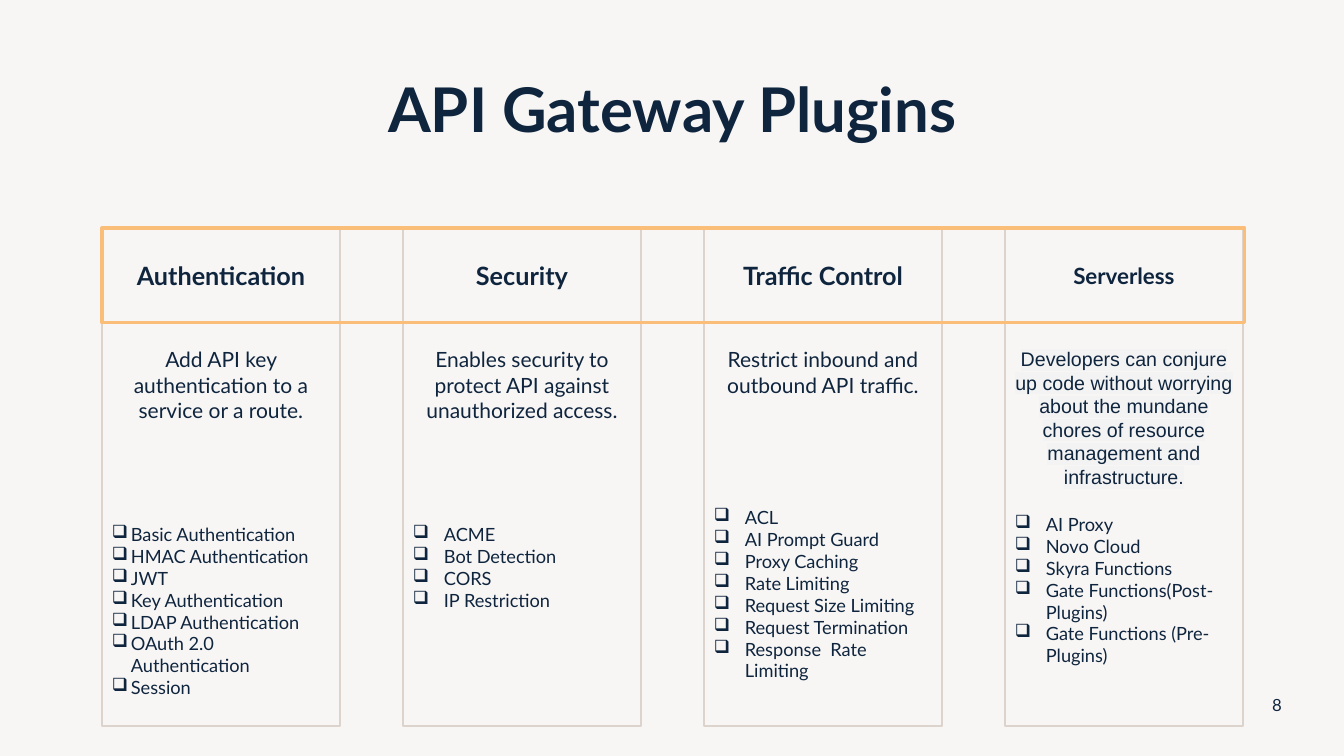
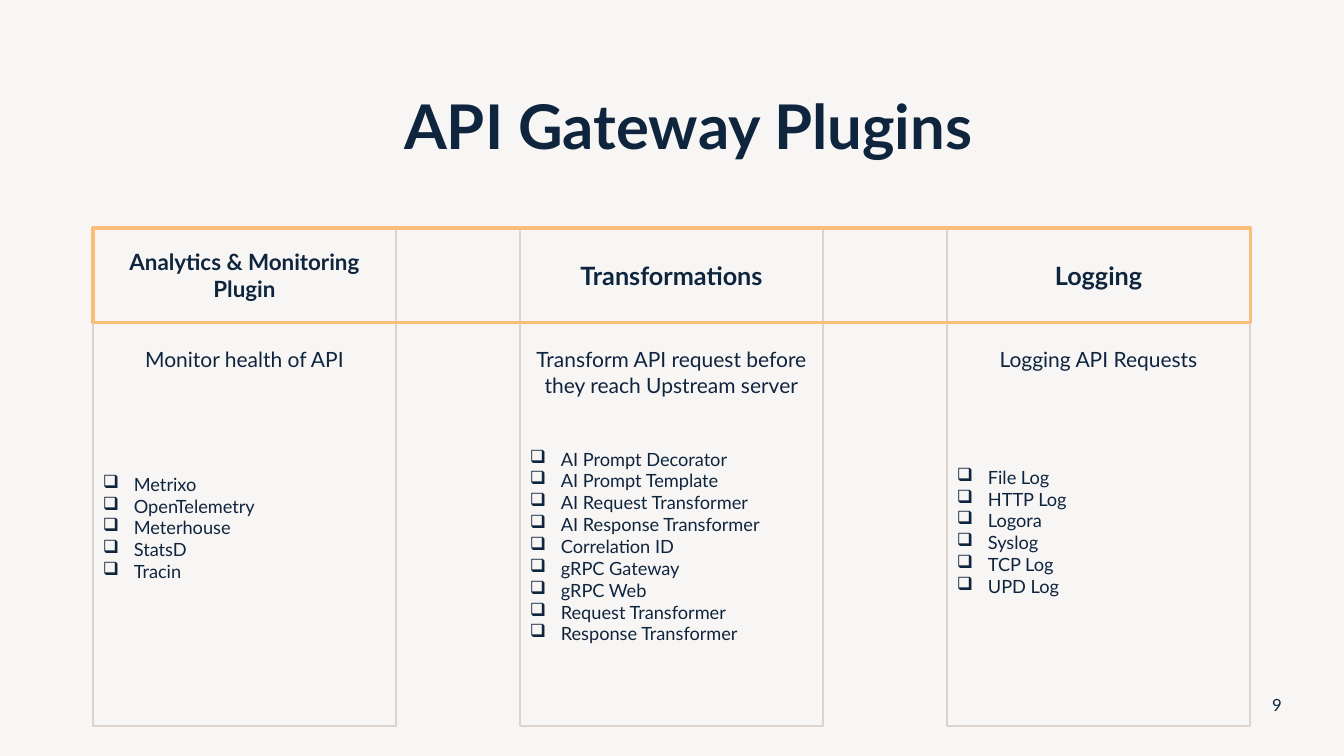
"""Build two slides of API gateway plugin columns."""
from dataclasses import dataclass

from lxml import etree
from pptx import Presentation
from pptx import util as u
from pptx.dml import color as dml
from pptx.enum import shapes, text
from pptx.oxml import ns

W, H = 1344, 756
SCALE = u.Inches(13.3333) / W
COLORS = {"ink": "0F253E", "paper": "F8F6F5", "frame": "DCD3CC",
          "accent": "FABE79", "highlight": "F3F3F3"}
FONT = "Lato"
BAND_TOP, BAND_H = 228, 95
BODY_TOP, BODY_H = 323, 403


@dataclass
class Column:
    """Content of one plugin column."""
    head: str
    about: str
    items: list
    gap: float = 72
    head_size: int = 18
    about_size: int = 15
    about_font: str = FONT
    highlight: bool = False
    indent: int = 31


def px(n):
    """Turn pixels into EMU."""
    return u.Emu(round(n * SCALE))


def rgb(name):
    """Look up a named colour."""
    return dml.RGBColor.from_string(COLORS[name])


def add_run(p, words, size, bold=False, font=FONT):
    """Add one styled run to a paragraph."""
    r = p.add_run()
    r.text = words
    r.font.size = u.Pt(size)
    r.font.bold = bold
    r.font.color.rgb = rgb("ink")
    r.font.name = font
    return r


def mark(r):
    """Highlight a run."""
    fill = r.font._element.find(ns.qn("a:solidFill"))
    hl = etree.Element(ns.qn("a:highlight"))
    etree.SubElement(hl, ns.qn("a:srgbClr"), val=COLORS["highlight"])
    fill.addnext(hl)


def add_bullet(p, indent):
    """Give a paragraph a hanging box bullet."""
    pPr = p._p.get_or_add_pPr()
    pPr.set("marL", str(px(indent)))
    pPr.set("indent", str(-px(indent)))
    etree.SubElement(pPr, ns.qn("a:buChar"), char="❑")


def add_frame(s, box, color="frame", width=1.5):
    """Draw an unfilled rectangle and return its text frame."""
    sp = s.shapes.add_shape(shapes.MSO_SHAPE.RECTANGLE, *map(px, box))
    sp.shadow.inherit = False
    sp.fill.background()
    sp.line.color.rgb = rgb(color)
    sp.line.width = u.Pt(width)
    tf = sp.text_frame
    tf.word_wrap = True
    return tf


def add_title(s, left, top, words):
    """Place and format the title placeholder."""
    sp = s.shapes.title
    sp.left, sp.top, sp.width, sp.height = map(px, (left, top, 1159, 146))
    tf = sp.text_frame
    tf.auto_size = text.MSO_AUTO_SIZE.NONE
    tf.vertical_anchor = text.MSO_ANCHOR.MIDDLE
    p = tf.paragraphs[0]
    p.alignment = text.PP_ALIGN.CENTER
    p.line_spacing = 0.9
    add_run(p, words, 44, True)


def add_number(s, number):
    """Place the slide number."""
    sp = s.shapes.add_textbox(*map(px, (1252, 685, 50, 40)))
    tf = sp.text_frame
    tf.word_wrap = True
    tf.vertical_anchor = text.MSO_ANCHOR.MIDDLE
    p = tf.paragraphs[0]
    p.alignment = text.PP_ALIGN.CENTER
    add_run(p, str(number), 12)


def add_column(s, left, width, col):
    """Draw a heading cell with the body cell below it."""
    tf = add_frame(s, (left, BAND_TOP, width, BAND_H))
    tf.vertical_anchor = text.MSO_ANCHOR.MIDDLE
    p = tf.paragraphs[0]
    p.alignment = text.PP_ALIGN.CENTER
    add_run(p, col.head, col.head_size, True)

    tf = add_frame(s, (left, BODY_TOP, width, BODY_H))
    tf.vertical_anchor = text.MSO_ANCHOR.TOP
    tf.margin_top = px(24)
    p = tf.paragraphs[0]
    p.alignment = text.PP_ALIGN.CENTER
    r = add_run(p, col.about, col.about_size, font=col.about_font)
    if col.highlight:
        mark(r)
    for i, item in enumerate(col.items):
        p = tf.add_paragraph()
        p.alignment = text.PP_ALIGN.LEFT
        p.space_before = u.Pt(0 if i else col.gap)
        add_bullet(p, col.indent)
        add_run(p, item, 13)


def add_plugin_slide(prs, number, title_at, left, width, col_width, columns):
    """Build a slide with evenly spaced columns under one band."""
    s = prs.slides.add_slide(prs.slide_layouts[5])
    add_title(s, *title_at, "API Gateway Plugins")
    step = (width - col_width) // (len(columns) - 1)
    for i, col in enumerate(columns):
        add_column(s, left + i * step, col_width, col)
    add_frame(s, (left, BAND_TOP, width, BAND_H), "accent", 2.25)
    add_number(s, number)


ACCESS = [
    Column("Authentication",
           "Add API key authentication to a service or a route.",
           ["Basic Authentication", "HMAC Authentication", "JWT",
            "Key Authentication", "LDAP Authentication",
            "OAuth 2.0 Authentication", "Session"], indent=19),
    Column("Security",
           "Enables security to protect API against unauthorized access.",
           ["ACME", "Bot Detection", "CORS", "IP Restriction"]),
    Column("Traffic Control", "Restrict inbound and outbound API traffic.",
           ["ACL", "AI Prompt Guard", "Proxy Caching", "Rate Limiting",
            "Request Size Limiting", "Request Termination",
            "Response  Rate Limiting"], gap=78),
    Column("Serverless",
           "Developers can conjure up code without worrying about the "
           "mundane chores of resource management and infrastructure.",
           ["AI Proxy", "Novo Cloud", "Skyra Functions",
            "Gate Functions(Post-Plugins)", "Gate Functions (Pre-Plugins)"],
           gap=18, head_size=16, about_size=14, about_font="Arial",
           highlight=True),
]
OPERATIONS = [
    Column("Analytics & Monitoring Plugin", "Monitor health of API",
           ["Metrixo", "OpenTelemetry", "Meterhouse", "StatsD", "Tracin"],
           head_size=16),
    Column("Transformations",
           "Transform API request before they reach Upstream server",
           ["AI Prompt Decorator", "AI Prompt Template",
            "AI Request Transformer", "AI Response Transformer",
            "Correlation ID", "gRPC Gateway", "gRPC Web",
            "Request Transformer", "Response Transformer"], gap=36),
    Column("Logging", "Logging API Requests",
           ["File Log", "HTTP Log", "Logora", "Syslog", "TCP Log",
            "UPD Log"], gap=67),
]


def main():
    """Build and save the presentation."""
    prs = Presentation()
    prs.slide_width, prs.slide_height = px(W), px(H)
    fill = prs.slide_master.background.fill
    fill.solid()
    fill.fore_color.rgb = rgb("paper")
    add_plugin_slide(prs, 8, (93, 40), 102, 1143, 238, ACCESS)
    add_plugin_slide(prs, 9, (109, 57), 93, 1158, 303, OPERATIONS)
    prs.save("out.pptx")


if __name__ == "__main__":
    main()
